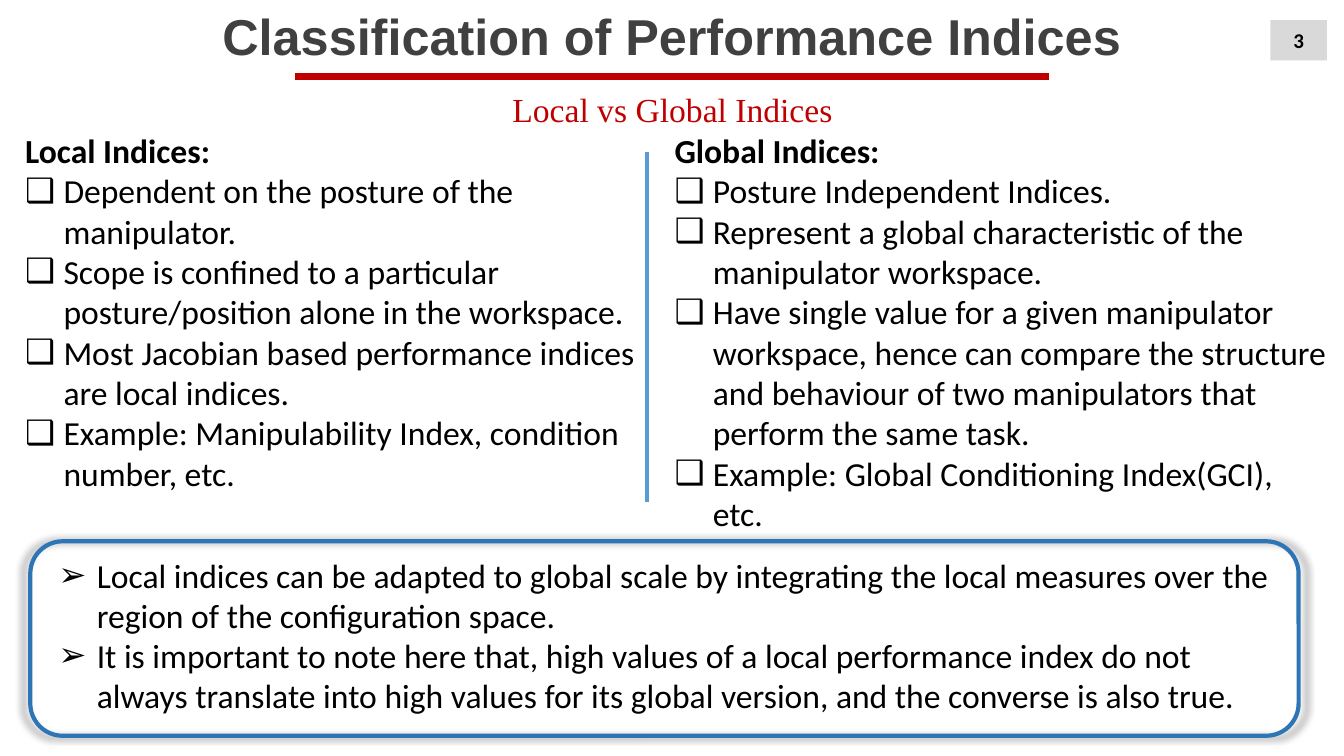
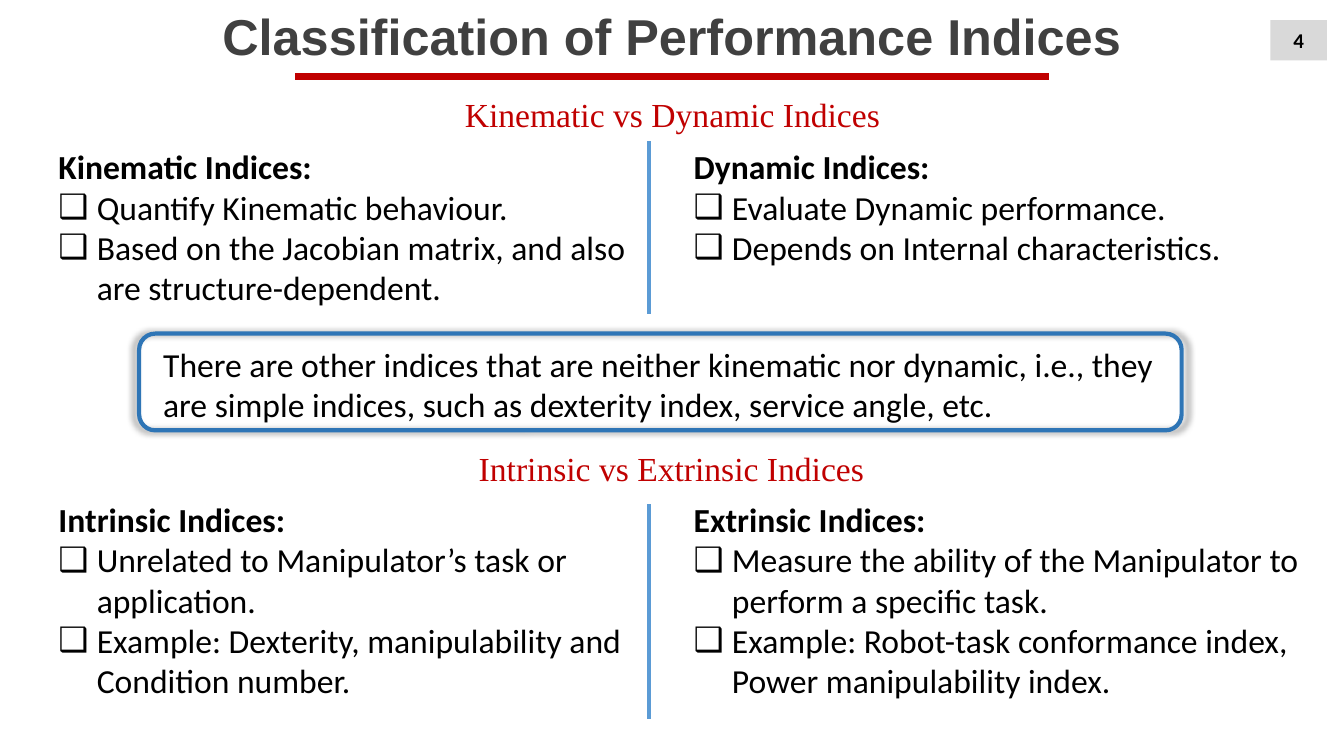
from lxml.etree import SubElement
from pptx import Presentation
from pptx.dml.color import RGBColor
from pptx.enum.shapes import MSO_CONNECTOR, MSO_SHAPE
from pptx.enum.text import MSO_ANCHOR, MSO_AUTO_SIZE, PP_ALIGN
from pptx.oxml.ns import qn
from pptx.util import Inches, Pt

# Colours
RED = RGBColor(0xC0, 0x00, 0x00)
DARK = RGBColor(0x40, 0x40, 0x40)
BLACK = RGBColor(0x00, 0x00, 0x00)
GREY = RGBColor(0xD9, 0xD9, 0xD9)
BLUE = RGBColor(0x2E, 0x75, 0xB6)
SKY = RGBColor(0x5B, 0x9B, 0xD5)

# Bullets
BOX = "\u2751"
ARROW = "\u27a2"
HANG = Inches(0.38)


def mark(para, sign):
    """Give a paragraph a hanging bullet, or none."""
    props = para._p.get_or_add_pPr()
    props.set("marL", str(HANG if sign else 0))
    props.set("indent", str(-HANG if sign else 0))
    if sign:
        SubElement(props, qn("a:buFont")).set("typeface", "Arial")
        SubElement(props, qn("a:buChar")).set("char", sign)
    else:
        SubElement(props, qn("a:buNone"))


def write(shape, lines, font="Calibri", size=24, color=BLACK, bold=False,
          head=False, sign=None, align=PP_ALIGN.LEFT,
          anchor=MSO_ANCHOR.TOP, wrap=True):
    """Fill a shape with paragraphs; head makes the first a bold heading."""
    frame = shape.text_frame
    frame.word_wrap = wrap
    frame.auto_size = MSO_AUTO_SIZE.NONE
    frame.vertical_anchor = anchor
    for i, line in enumerate(lines):
        para = frame.paragraphs[0] if i == 0 else frame.add_paragraph()
        first = head and i == 0
        para.alignment = align
        para.line_spacing = 1.0
        para.space_before = para.space_after = Pt(0)
        mark(para, None if first else sign)
        run = para.add_run()
        run.text = line
        run.font.name = font
        run.font.size = Pt(size)
        run.font.bold = bold or first
        run.font.color.rgb = color


class Deck:
    def __init__(self):
        self.prs = Presentation()
        self.prs.slide_width = Inches(13.33)
        self.prs.slide_height = Inches(7.5)

    def start(self, title, number):
        """Open a slide with its title, red rule and page number."""
        self.slide = self.prs.slides.add_slide(self.prs.slide_layouts[4])
        self.shapes = self.slide.shapes
        self.free = [p for p in self.slide.placeholders
                     if p.placeholder_format.idx > 0]
        self.rule(2.93, 0.76, 10.4, 0.76, RED, 4.5)
        self.place(self.shapes.title, 2.06, 0, 9.21, 0.71)
        write(self.shapes.title, [title], font="Arial", size=36, color=DARK,
              bold=True, align=PP_ALIGN.CENTER, wrap=False)
        page = self.block(MSO_SHAPE.RECTANGLE, 12.6, 0.2, 0.56, 0.4)
        page.fill.solid()
        page.fill.fore_color.rgb = GREY
        page.line.fill.background()
        write(page, [str(number)], size=15, bold=True,
              align=PP_ALIGN.CENTER, anchor=MSO_ANCHOR.MIDDLE)

    def place(self, shape, left, top, width, height):
        shape.left, shape.top = Inches(left), Inches(top)
        shape.width, shape.height = Inches(width), Inches(height)

    def block(self, kind, *area):
        shape = self.shapes.add_shape(kind, *map(Inches, area))
        shape.shadow.inherit = False
        return shape

    def rule(self, x1, y1, x2, y2, color, width):
        line = self.shapes.add_connector(
            MSO_CONNECTOR.STRAIGHT, *map(Inches, (x1, y1, x2, y2)))
        line.line.color.rgb = color
        line.line.width = Pt(width)
        SubElement(line._element.spPr, qn("a:effectLst"))

    def topic(self, text, mid, top):
        """Red subtitle centred on mid."""
        box = self.shapes.add_textbox(
            *map(Inches, (mid - 2.25, top, 4.5, 0.5)))
        write(box, [text], font="Times New Roman", color=RED,
              align=PP_ALIGN.CENTER, wrap=False)

    def items(self, lines, *area, **style):
        """List in the next free body placeholder."""
        body = self.free.pop(0)
        self.place(body, *area)
        write(body, lines, **style)

    def pair(self, cols, lefts, top, widths, height):
        """Two headed lists side by side."""
        for lines, left, width in zip(cols, lefts, widths):
            self.items(lines, left, top, width, height, head=True, sign=BOX)

    def note(self, text, *area):
        box = self.shapes.add_textbox(*map(Inches, area))
        write(box, [text])

    def frame(self, *area):
        """Rounded outline with a soft shadow."""
        shape = self.block(MSO_SHAPE.ROUNDED_RECTANGLE, *area)
        shape.fill.background()
        shape.line.color.rgb = BLUE
        shape.line.width = Pt(3)
        effect = shape._element.spPr.find(qn("a:effectLst"))
        glow = SubElement(effect, qn("a:outerShdw"), blurRad="63500",
                          sx="101000", sy="101000", algn="ctr",
                          rotWithShape="0")
        tint = SubElement(glow, qn("a:prstClr"), val="black")
        SubElement(tint, qn("a:alpha"), val="40000")

    def close(self):
        """Drop the placeholders left empty."""
        for body in self.free:
            body._element.getparent().remove(body._element)


TITLE = "Classification of Performance Indices"
deck = Deck()

# Local and global
deck.start(TITLE, 3)
deck.topic("Local vs Global Indices", 6.67, 0.83)
deck.pair([
    ["Local Indices:",
     "Dependent on the posture of the manipulator.",
     "Scope is confined to a particular posture/position alone in the "
     "workspace.",
     "Most Jacobian based performance indices are local indices.",
     "Example: Manipulability Index, condition number, etc."],
    ["Global Indices:",
     "Posture Independent Indices.",
     "Represent a global characteristic of the manipulator workspace.",
     "Have single value for a given manipulator workspace, hence can compare "
     "the structure and behaviour of two manipulators that perform the same "
     "task.",
     "Example: Global Conditioning Index(GCI), etc."],
], (0.15, 6.59), 1.24, (6.31, 6.69), 4.14)
deck.items([
    "Local indices can be adapted to global scale by integrating the local "
    "measures over the region of the configuration space.",
    "It is important to note here that, high values of a local performance "
    "index do not always translate into high values for its global version, "
    "and the converse is also true.",
], 0.48, 5.45, 12.4, 1.72, sign=ARROW)
deck.frame(0.3, 5.37, 12.58, 1.93)
deck.rule(6.42, 1.51, 6.42, 4.98, SKY, 3)
deck.close()

# Kinematic and dynamic, intrinsic and extrinsic
LEFTS = (0.48, 6.78)
WIDTHS = (6.31, 6.31)
deck.start(TITLE, 4)
deck.topic("Kinematic vs Dynamic Indices", 6.67, 0.88)
deck.pair([
    ["Kinematic Indices:",
     "Quantify Kinematic behaviour.",
     "Based on the Jacobian matrix, and also are structure-dependent."],
    ["Dynamic Indices:",
     "Evaluate Dynamic performance.",
     "Depends on Internal characteristics."],
], LEFTS, 1.4, WIDTHS, 1.72)
deck.note("There are other indices that are neither kinematic nor dynamic, "
          "i.e., they are simple indices, such as dexterity index, service "
          "angle, etc.", 1.52, 3.36, 10.03, 0.91)
deck.topic("Intrinsic vs Extrinsic Indices", 6.66, 4.39)
deck.pair([
    ["Intrinsic Indices:",
     "Unrelated to Manipulator\u2019s task or application.",
     "Example: Dexterity, manipulability and Condition number."],
    ["Extrinsic Indices:",
     "Measure the ability of the Manipulator to perform a specific task.",
     "Example: Robot-task conformance index, Power manipulability index."],
], LEFTS, 4.9, WIDTHS, 2.12)
for top, end in ((1.4, 3.12), (5, 7.13)):
    deck.rule(6.44, top, 6.44, end, SKY, 3)
deck.frame(1.38, 3.31, 10.34, 0.96)
deck.close()

deck.prs.save("out.pptx")
